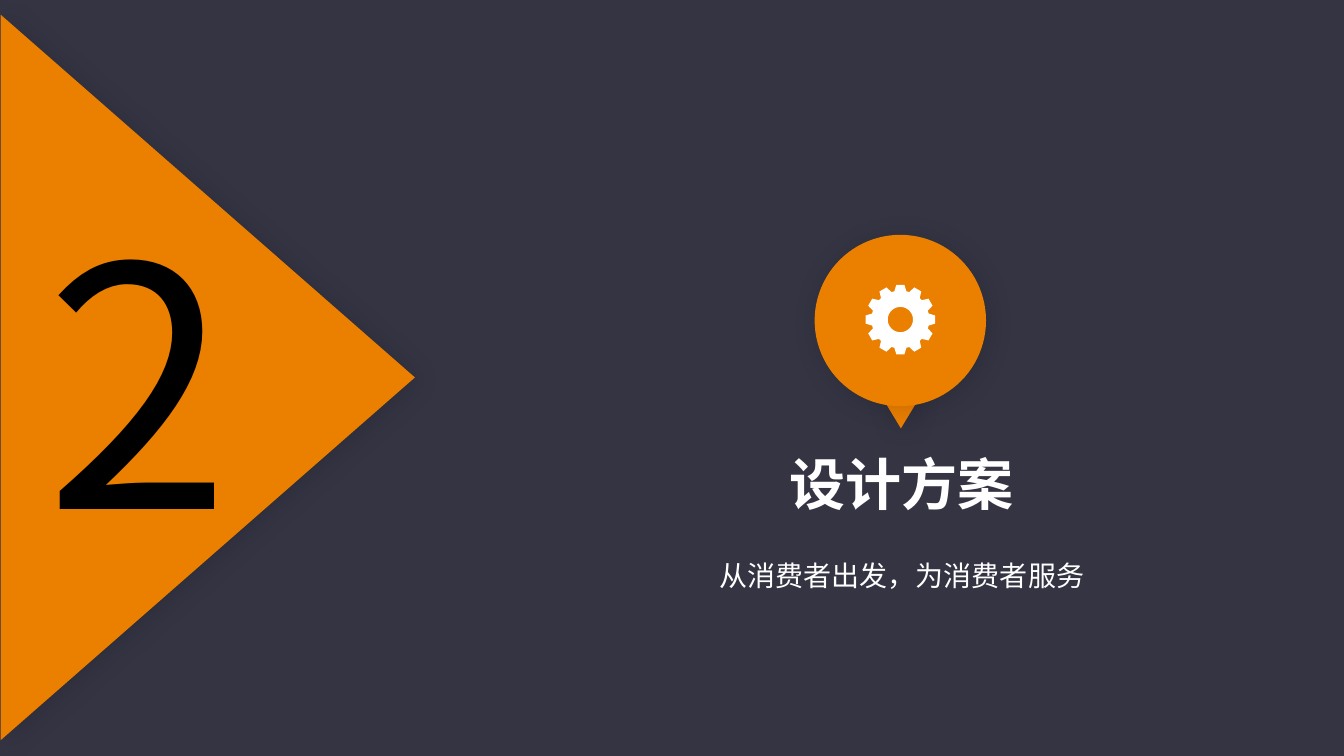
import math
from dataclasses import dataclass

import pptx
import pptx.dml.color
import pptx.enum.shapes
import pptx.enum.text
import pptx.oxml
import pptx.oxml.ns
import pptx.util
from pptx.util import Inches

FONT = "Noto Sans CJK SC"
ORANGE, NAVY, WHITE, BLACK = "EB7F00", "343443", "FFFFFF", "000000"
Preset = pptx.enum.shapes.MSO_SHAPE
Align = pptx.enum.text.PP_ALIGN


@dataclass
class Figure:
    preset: Preset
    left: float
    top: float
    width: float
    height: float
    color: str
    rotation: float = 0


@dataclass
class Label:
    words: str
    left: float
    top: float
    width: float
    height: float
    size: float
    color: str
    bold: bool = False
    wrap: bool = False
    align: Align = Align.CENTER
    spacing: float = 1.0


BACKDROP = [
    Figure(Preset.RECTANGLE, 0, 0, 13.33, 7.5, NAVY),
    Figure(Preset.ISOSCELES_TRIANGLE, -1.54, 1.69, 7.2, 4.11, ORANGE, 90),
]
PIN = [
    Figure(Preset.ISOSCELES_TRIANGLE, 8.76, 3.96, 0.35, 0.29, ORANGE, 180),
    Figure(Preset.OVAL, 8.08, 2.33, 1.7, 1.7, ORANGE),
]
NUMBER = Label("2", 0.35, 1.69, 2.07, 4.12, 239, BLACK, align=Align.LEFT)
TITLES = [
    Label("设计方案", 7.72, 4.41, 2.45, 0.77, 40, WHITE, bold=True),
    Label("从消费者出发，为消费者服务", 5.45, 5.32, 6.99, 0.61, 20, WHITE,
          wrap=True, spacing=1.5),
]


def rgb(color: str) -> pptx.dml.color.RGBColor:
    return pptx.dml.color.RGBColor.from_string(color)


def paint(shape, color: str) -> None:
    shape.fill.solid()
    shape.fill.fore_color.rgb = rgb(color)
    shape.line.fill.background()
    shape.shadow.inherit = False


def add_soft_shadow(shape) -> None:
    effects = shape._element.spPr.find(pptx.oxml.ns.qn("a:effectLst"))
    effects.append(pptx.oxml.parse_xml(
        f'<a:outerShdw {pptx.oxml.ns.nsdecls("a")} blurRad="{pptx.util.Pt(19)}" '
        f'dist="{pptx.util.Pt(3)}" dir="2700000" algn="tl" rotWithShape="0">'
        '<a:srgbClr val="000000"><a:alpha val="15000"/></a:srgbClr></a:outerShdw>'))


def draw_figure(shapes, figure: Figure) -> None:
    shape = shapes.add_shape(figure.preset, Inches(figure.left), Inches(figure.top),
                             Inches(figure.width), Inches(figure.height))
    shape.rotation = figure.rotation
    paint(shape, figure.color)
    add_soft_shadow(shape)


def draw_label(shapes, label: Label) -> None:
    box = shapes.add_textbox(Inches(label.left), Inches(label.top),
                             Inches(label.width), Inches(label.height))
    frame = box.text_frame
    frame.word_wrap = label.wrap
    frame.auto_size = pptx.enum.text.MSO_AUTO_SIZE.SHAPE_TO_FIT_TEXT
    para = frame.paragraphs[0]
    para.alignment = label.align
    para.line_spacing = label.spacing
    span = para.add_run()
    span.text = label.words
    span.font.name = FONT
    span.font.size = pptx.util.Pt(label.size)
    span.font.bold = label.bold
    span.font.color.rgb = rgb(label.color)
    # The Chinese glyphs take their typeface from the East Asian font
    properties = span._r.get_or_add_rPr()
    east_asian = pptx.oxml.parse_xml(
        f'<a:ea {pptx.oxml.ns.nsdecls("a")} typeface="{FONT}"/>')
    properties.find(pptx.oxml.ns.qn("a:latin")).addnext(east_asian)


def draw_gear(shapes, center_x: float, center_y: float) -> None:
    def turned(x: float, y: float, degrees: float) -> tuple[int, int]:
        cosine, sine = math.cos(math.radians(degrees)), math.sin(math.radians(degrees))
        return (Inches(center_x + x * cosine - y * sine),
                Inches(center_y + x * sine + y * cosine))

    # Twelve equal teeth, then the hole in the opposite direction
    tooth = [(-0.06, -0.28), (-0.04, -0.345), (0.04, -0.345), (0.06, -0.28)]
    rim = [turned(x, y, 30 * step) for step in range(12) for x, y in tooth]
    hole = [turned(0, -0.125, -5 * step) for step in range(72)]
    builder = shapes.build_freeform(*rim[0], scale=1.0)
    builder.add_line_segments(rim[1:], close=True)
    builder.move_to(*hole[0])
    builder.add_line_segments(hole[1:], close=True)
    paint(builder.convert_to_shape(), WHITE)


def main() -> None:
    deck = pptx.Presentation()
    deck.slide_width, deck.slide_height = Inches(13.33), Inches(7.5)
    page = deck.slides.add_slide(deck.slide_layouts[6])

    # Backdrop and section number
    for figure in BACKDROP:
        draw_figure(page.shapes, figure)
    draw_label(page.shapes, NUMBER)

    # Pin with gear
    pin = page.shapes.add_group_shape()
    for figure in PIN:
        draw_figure(pin.shapes, figure)
    draw_gear(pin.shapes, 8.93, 3.17)

    # Section title and subtitle
    for label in TITLES:
        draw_label(page.shapes, label)

    deck.save("out.pptx")


if __name__ == "__main__":
    main()
